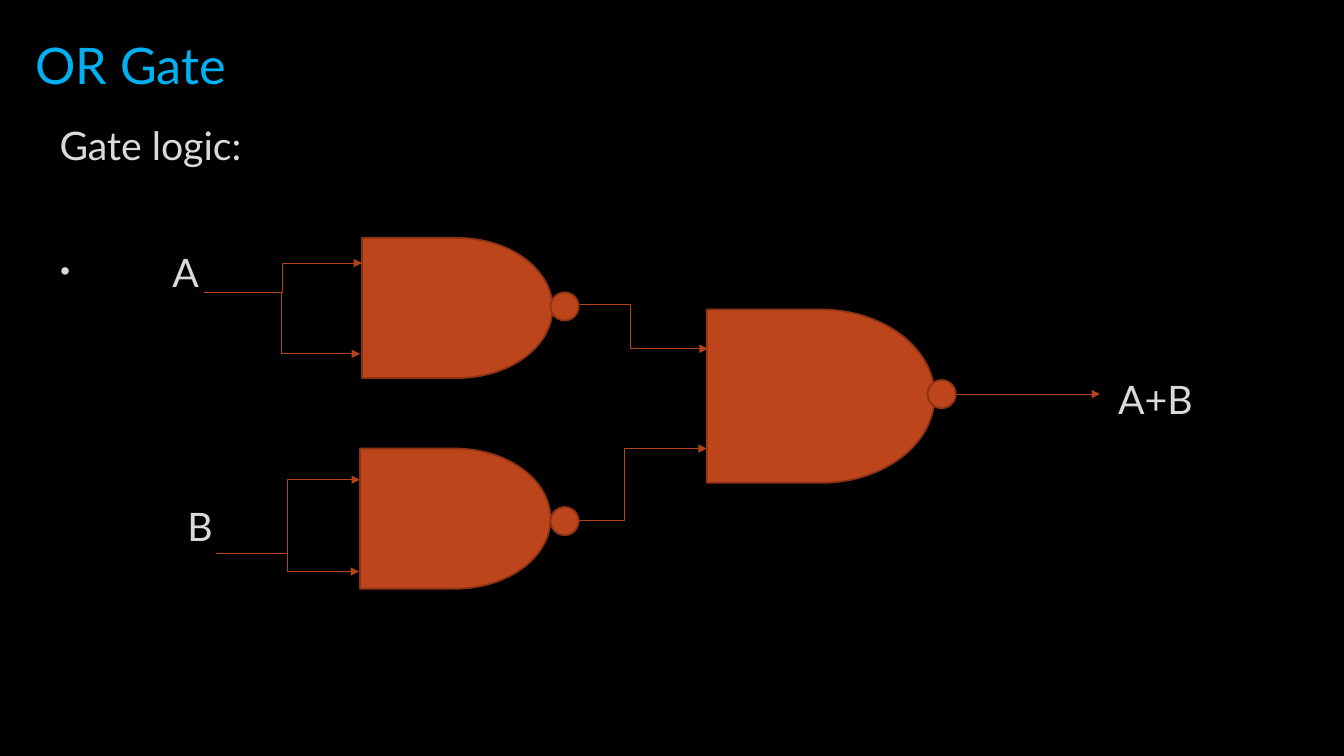
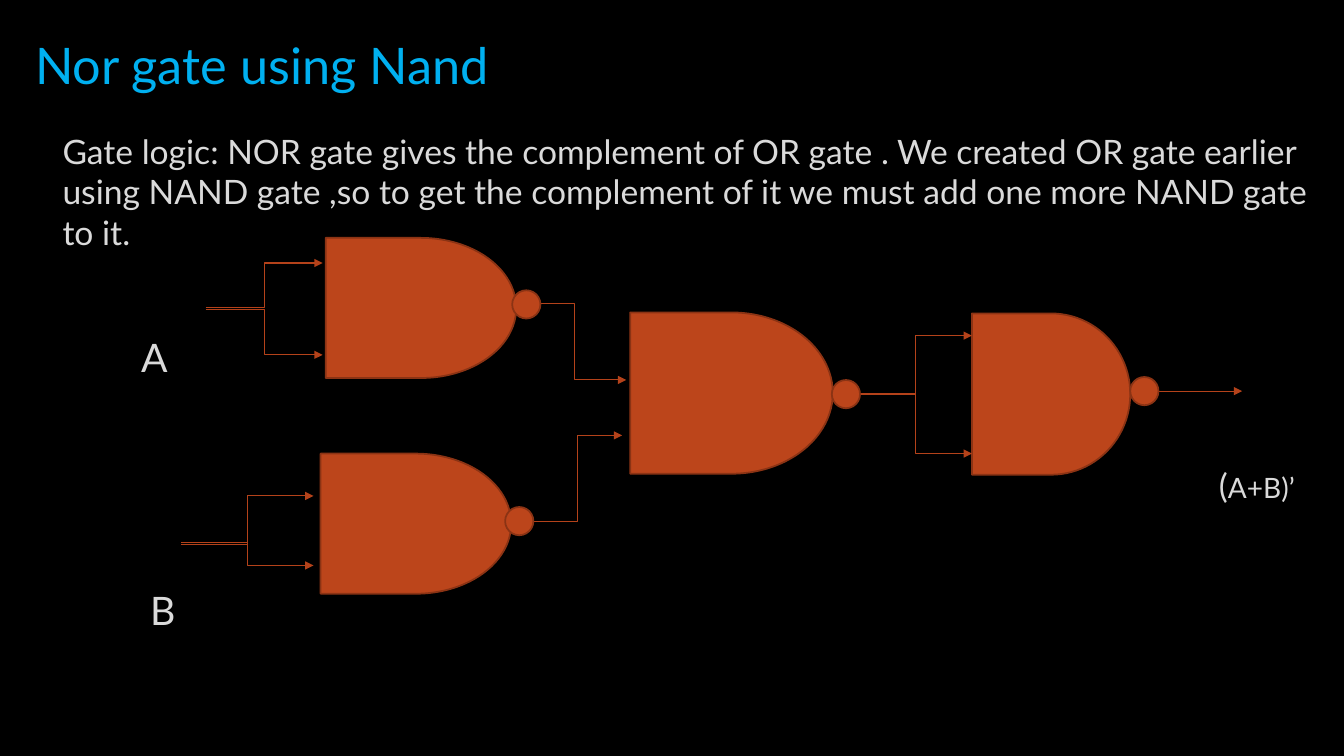
from dataclasses import dataclass

from lxml.etree import SubElement
from pptx import Presentation
from pptx.dml.color import RGBColor
from pptx.enum.shapes import MSO_CONNECTOR, MSO_SHAPE
from pptx.enum.text import MSO_ANCHOR
from pptx.oxml.ns import qn
from pptx.util import Inches, Pt


@dataclass(frozen=True)
class Theme:
    font: str = "Lato"
    background: RGBColor = RGBColor.from_string("000000")
    title: RGBColor = RGBColor.from_string("00B0F0")
    text: RGBColor = RGBColor.from_string("DADADA")
    gate: RGBColor = RGBColor.from_string("BC451B")
    gate_edge: RGBColor = RGBColor.from_string("8B3314")
    wire: RGBColor = RGBColor.from_string("B4421A")
    title_size: int = 36
    label_size: int = 28
    body_size: int = 24
    small_size: int = 20
    edge_width: float = 1.25
    wire_width: float = 0.75


THEME = Theme()
BUBBLE = 0.28


def add_text(slide, left, top, width, height, runs, color=THEME.text):
    """Write one paragraph from (text, size) pairs, flush with the box edges."""
    frame = slide.shapes.add_textbox(
        Inches(left), Inches(top), Inches(width), Inches(height)).text_frame
    frame.word_wrap = True
    frame.margin_left = frame.margin_right = 0
    frame.margin_top = frame.margin_bottom = 0
    for text, size in runs:
        run = frame.paragraphs[0].add_run()
        run.text = text
        run.font.name = THEME.font
        run.font.size = Pt(size)
        run.font.color.rgb = color
    return frame


def add_title(slide, text):
    frame = add_text(slide, 0.35, 0.11, 11.12, 1.06,
                     [(text, THEME.title_size)], THEME.title)
    frame.vertical_anchor = MSO_ANCHOR.MIDDLE


def add_label(slide, left, top, text):
    return add_text(slide, left, top, 1.5, 0.5, [(text, THEME.label_size)])


def add_bullet(paragraph, indent):
    """Hang a small round bullet the given inches to the left of the text."""
    properties = paragraph._p.get_or_add_pPr()
    properties.set("marL", str(Inches(indent)))
    properties.set("indent", str(-Inches(indent)))
    color = SubElement(properties, qn("a:buClr"))
    SubElement(color, qn("a:srgbClr"), val=str(THEME.text))
    SubElement(properties, qn("a:buSzPct"), val="70000")
    SubElement(properties, qn("a:buFont"), typeface="Arial")
    SubElement(properties, qn("a:buChar"), char="•")


def add_part(slide, preset, left, top, width, height):
    part = slide.shapes.add_shape(
        preset, Inches(left), Inches(top), Inches(width), Inches(height))
    part.shadow.inherit = False
    part.fill.solid()
    part.fill.fore_color.rgb = THEME.gate
    part.line.color.rgb = THEME.gate_edge
    part.line.width = Pt(THEME.edge_width)


def add_wire(slide, x1, y1, x2, y2):
    """Draw an arrow, straight when level and with an elbow otherwise."""
    kind = MSO_CONNECTOR.STRAIGHT if y1 == y2 else MSO_CONNECTOR.ELBOW
    wire = slide.shapes.add_connector(
        kind, Inches(x1), Inches(y1), Inches(x2), Inches(y2))
    wire.line.color.rgb = THEME.wire
    wire.line.width = Pt(THEME.wire_width)
    SubElement(wire.line._get_or_add_ln(), qn("a:tailEnd"), type="triangle")
    SubElement(wire._element.spPr, qn("a:effectLst"))


def add_circuit(slide, gates, wires, bubbles):
    for gate in gates:
        add_part(slide, MSO_SHAPE.FLOWCHART_DELAY, *gate)
    for wire in wires:
        add_wire(slide, *wire)
    for left, top in bubbles:
        add_part(slide, MSO_SHAPE.FLOWCHART_CONNECTOR, left, top, BUBBLE, BUBBLE)


def add_or_slide(slide):
    add_title(slide, "OR Gate")
    add_text(slide, 0.59, 1.2, 11.78, 0.5, [("Gate logic:", THEME.label_size)])
    input_a = add_text(slide, 0.6, 2.46, 1.5, 0.5, [("A", THEME.label_size)])
    add_bullet(input_a.paragraphs[0], 1.11)
    add_label(slide, 1.86, 4.98, "B")
    add_label(slide, 11.09, 3.72, "A+B")
    add_circuit(
        slide,
        gates=[(3.59, 2.36, 1.89, 1.39), (3.57, 4.45, 1.89, 1.39),
               (7.01, 3.07, 2.26, 1.72)],
        wires=[(2.02, 2.9, 3.59, 2.61), (2.02, 2.9, 3.57, 3.51),
               (2.14, 5.49, 3.57, 4.76), (2.14, 5.49, 3.56, 5.67),
               (5.48, 3.02, 7.02, 3.46), (5.37, 5.16, 7.01, 4.45),
               (9.48, 3.91, 10.91, 3.91)],
        bubbles=[(5.46, 2.9), (5.46, 5.03), (9.2, 3.77)])


def add_nor_slide(slide):
    add_title(slide, "Nor gate using Nand")
    add_text(slide, 0.62, 1.3, 12.49, 1.2, [(
        "Gate logic: NOR gate gives the complement of OR gate . We created OR "
        "gate earlier using NAND gate ,so to get the complement of it we must "
        "add one more NAND gate to it.", THEME.body_size)])
    add_label(slide, 1.4, 3.31, "A")
    add_label(slide, 1.49, 5.82, "B")
    add_text(slide, 12.09, 4.61, 1.1, 0.4,
             [("(", THEME.body_size), ("A+B)’", THEME.small_size)])
    add_circuit(
        slide,
        gates=[(3.23, 2.36, 1.89, 1.39), (3.18, 4.5, 1.89, 1.39),
               (6.25, 3.1, 2.01, 1.6), (9.64, 3.11, 1.57, 1.6)],
        wires=[(2.04, 3.05, 3.2, 2.61), (2.04, 3.07, 3.2, 3.52),
               (1.8, 5.4, 3.11, 4.92), (1.8, 5.38, 3.11, 5.61),
               (5.19, 3.01, 6.21, 3.77), (5.29, 5.17, 6.17, 4.32),
               (8.53, 3.91, 9.64, 3.33), (8.53, 3.9, 9.64, 4.5),
               (11.49, 3.88, 12.32, 3.88)],
        bubbles=[(5.08, 2.88), (5.01, 5.03), (8.25, 3.77), (11.21, 3.74)])


def main():
    deck = Presentation()
    deck.slide_width, deck.slide_height = Inches(13.33), Inches(7.5)
    backdrop = deck.slide_master.background.fill
    backdrop.solid()
    backdrop.fore_color.rgb = THEME.background
    blank = deck.slide_layouts[6]
    for build in (add_or_slide, add_nor_slide):
        build(deck.slides.add_slide(blank))
    deck.save("out.pptx")


if __name__ == "__main__":
    main()
